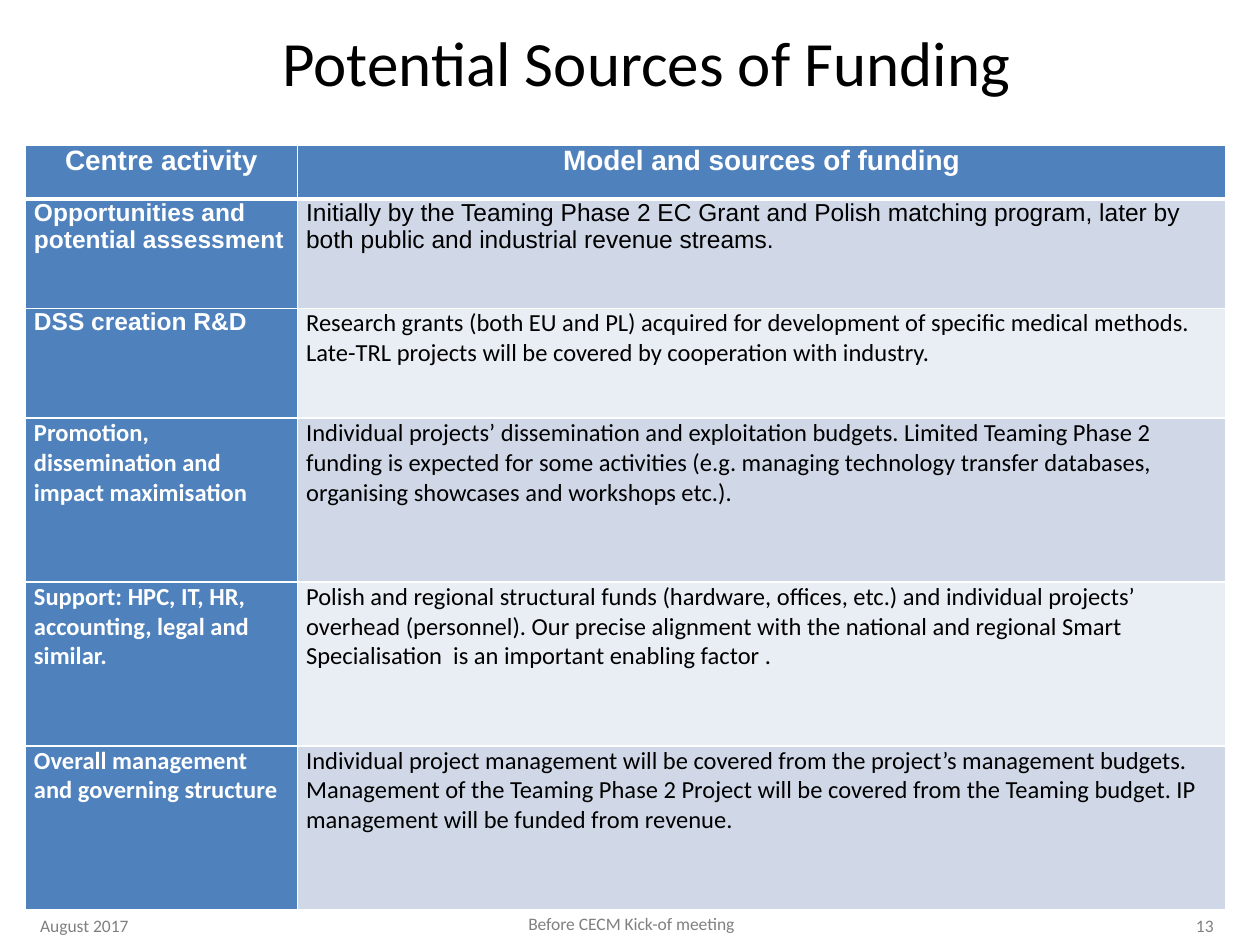
from typing import NamedTuple

from lxml.etree import SubElement
from pptx import Presentation
from pptx.dml.color import RGBColor
from pptx.enum.text import MSO_ANCHOR as Anchor, PP_ALIGN as Align
from pptx.oxml.ns import qn
from pptx.util import Inches, Pt

HEADER_BLUE = "4F81BD"
BANDS = ("D0D8E8", "E9EDF4")
WHITE, BLACK, GREY = "FFFFFF", "000000", "808080"


class Style(NamedTuple):
    size: float
    color: str
    font: str = "Calibri"
    bold: bool = False
    align: Align = Align.LEFT


class Label(NamedTuple):
    text: str
    left: float
    top: float
    width: float
    height: float
    style: Style
    anchor: Anchor = Anchor.MIDDLE


class Activity(NamedTuple):
    name: str
    funding: str
    height: float
    name_font: str = "Calibri"
    funding_font: str = "Calibri"


LABELS = [
    Label("13", 8.39, 7.23, 1.34, 0.23, Style(10, GREY, align=Align.RIGHT)),
    Label("August 2017", 0.22, 7.23, 1.78, 0.23, Style(10, GREY)),
    Label("Before CECM Kick-of meeting", 2.95, 7.2, 4.12, 0.27,
          Style(10, GREY, align=Align.CENTER), Anchor.TOP),
    Label("Potential Sources of Funding", 1.57, 0.21, 7.12, 0.55,
          Style(36, BLACK, align=Align.CENTER)),
]

HEADINGS = ("Centre activity", "Model and sources of funding")
HEADING_HEIGHT = 0.43
COLUMN_WIDTHS = (2.16, 7.37)

ACTIVITIES = [
    Activity("Opportunities and potential assessment",
             "Initially by the Teaming Phase 2 EC Grant and Polish matching program, "
             "later by both public and industrial revenue streams.",
             0.87, "Arial", "Arial"),
    Activity("DSS creation R&D",
             "Research grants (both EU and PL) acquired for development of specific "
             "medical methods. Late-TRL projects will be covered by cooperation with "
             "industry.",
             0.87, "Arial"),
    Activity("Promotion, dissemination and impact maximisation",
             "Individual projects’ dissemination and exploitation budgets. Limited "
             "Teaming Phase 2 funding is expected for some activities (e.g. managing "
             "technology transfer databases, organising showcases and workshops etc.).",
             1.3),
    Activity("Support: HPC, IT, HR, accounting, legal and similar.",
             "Polish and regional structural funds (hardware, offices, etc.) and "
             "individual projects’ overhead (personnel). Our precise alignment with the "
             "national and regional Smart Specialisation  is an important enabling "
             "factor .",
             1.3),
    Activity("Overall management and governing structure",
             "Individual project management will be covered from the project’s "
             "management budgets. Management of the Teaming Phase 2 Project will be "
             "covered from the Teaming budget. IP management will be funded from "
             "revenue.",
             1.3),
]


def rgb(value: str) -> RGBColor:
    return RGBColor.from_string(value)


def write(frame, text: str, style: Style):
    """Fill the frame's first paragraph with styled text and return it."""
    paragraph = frame.paragraphs[0]
    paragraph.text = text
    paragraph.alignment = style.align
    font = paragraph.font
    font.name, font.size, font.bold = style.font, Pt(style.size), style.bold
    font.color.rgb = rgb(style.color)
    return paragraph


def add_label(slide, label: Label) -> None:
    box = slide.shapes.add_textbox(Inches(label.left), Inches(label.top),
                                   Inches(label.width), Inches(label.height))
    frame = box.text_frame
    frame.word_wrap = True
    frame.vertical_anchor = label.anchor
    write(frame, label.text, label.style)


def add_borders(cell, top: float, bottom: float) -> None:
    """Draw white cell borders; top and bottom are widths in points."""
    properties = cell._tc.get_or_add_tcPr()
    for side, width in (("L", 1), ("R", 1), ("T", top), ("B", bottom)):
        line = SubElement(properties, qn(f"a:ln{side}"), w=str(Pt(width)))
        fill = SubElement(line, qn("a:solidFill"))
        SubElement(fill, qn("a:srgbClr"), val=WHITE)


def fill_cell(cell, text: str, style: Style, background: str,
              top: float = 1, bottom: float = 1) -> None:
    add_borders(cell, top, bottom)
    cell.fill.solid()
    cell.fill.fore_color.rgb = rgb(background)
    cell.margin_left = cell.margin_right = Inches(0.07)
    cell.margin_top = cell.margin_bottom = 0
    paragraph = write(cell.text_frame, text, style)
    paragraph.space_before = paragraph.space_after = Pt(3)


def add_funding_table(slide) -> None:
    heights = [HEADING_HEIGHT] + [activity.height for activity in ACTIVITIES]
    table = slide.shapes.add_table(
        len(heights), len(COLUMN_WIDTHS), Inches(0.2), Inches(1.15),
        Inches(sum(COLUMN_WIDTHS)), Inches(sum(heights))).table
    for column, width in zip(table.columns, COLUMN_WIDTHS):
        column.width = Inches(width)
    for row, height in zip(table.rows, heights):
        row.height = Inches(height)

    heading_style = Style(16, WHITE, "Arial", True, Align.CENTER)
    for column, heading in enumerate(HEADINGS):
        fill_cell(table.cell(0, column), heading, heading_style, HEADER_BLUE, bottom=3)
    for row, activity in enumerate(ACTIVITIES, start=1):
        top = 3 if row == 1 else 1
        fill_cell(table.cell(row, 0), activity.name,
                  Style(14, WHITE, activity.name_font, True), HEADER_BLUE, top)
        fill_cell(table.cell(row, 1), activity.funding,
                  Style(14, BLACK, activity.funding_font), BANDS[(row - 1) % 2], top)


def main() -> None:
    presentation = Presentation()
    presentation.slide_width, presentation.slide_height = Inches(10), Inches(7.5)
    slide = presentation.slides.add_slide(presentation.slide_layouts[6])
    for label in LABELS:
        add_label(slide, label)
    add_funding_table(slide)
    presentation.save("out.pptx")


if __name__ == "__main__":
    main()
